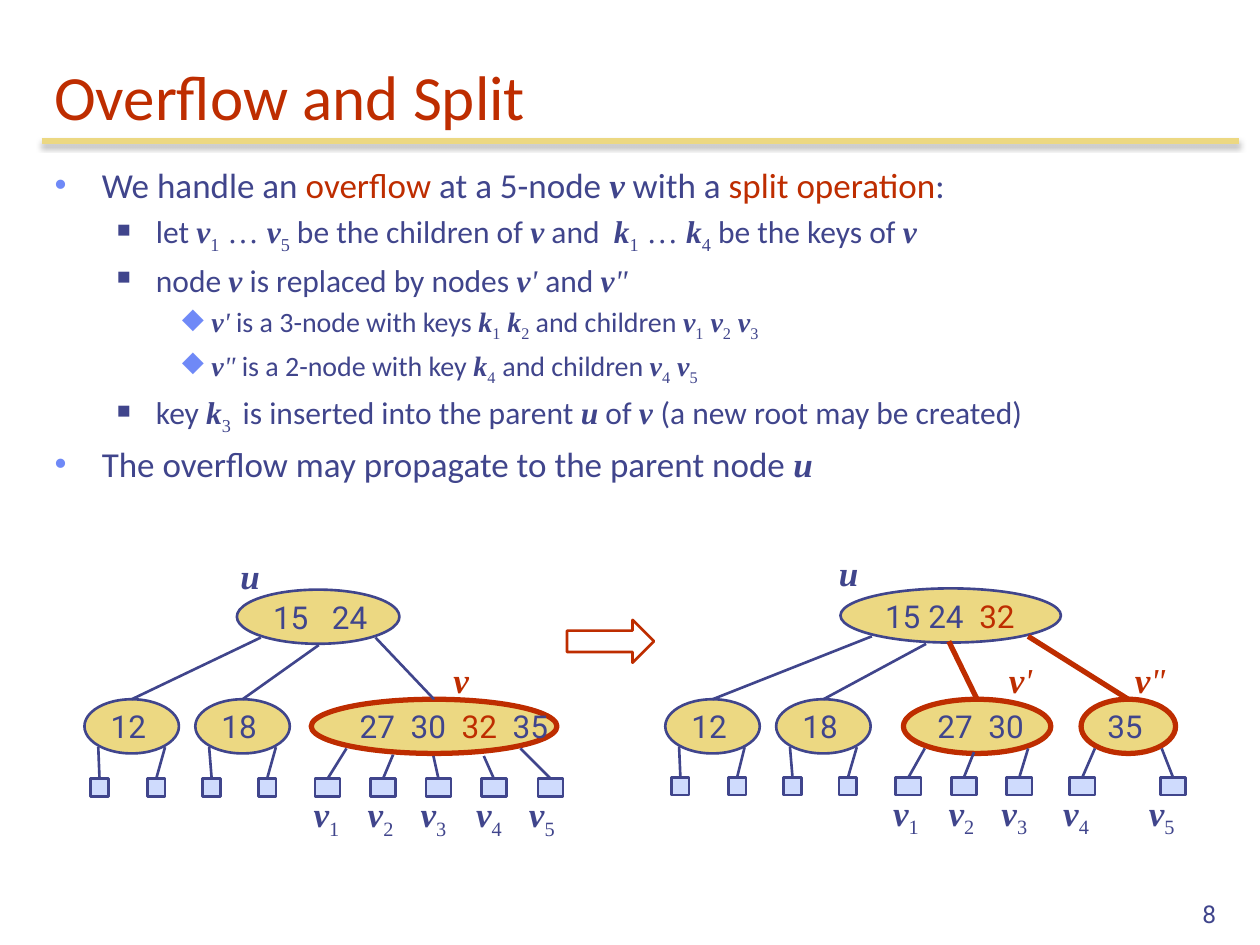
"""Build the slide on overflow and split in a multi-way search tree."""
import lxml.etree
import pptx
import pptx.dml.color
import pptx.enum.shapes
import pptx.enum.text
import pptx.oxml.ns
import pptx.util

SCALE = 9144
THEME = {
    "ink": "40458C", "accent": "BE2D00", "node": "ECD882", "leaf": "CFDBFD", "bullet": "6F89F7",
    "text": "Calibri", "number": "Roboto", "math": "Times New Roman", "symbol": "Wingdings",
    "title_size": 36, "label_size": 20, "node_size": 18, "page_size": 14,
    "level_sizes": (20, 18, 16), "ink_width": 1.5, "accent_width": 3,
}
MATH = THEME["math"]
STYLES = {
    "*": {"name": MATH, "bold": True, "italic": True},
    "^": {"name": MATH, "italic": True},
    "_": {"name": MATH},
    "~": {"name": MATH},
    "!": {},
}
SHAPES = pptx.enum.shapes.MSO_SHAPE
ANCHOR = pptx.enum.text.MSO_ANCHOR
ALIGN = pptx.enum.text.PP_ALIGN
RGB = pptx.dml.color.RGBColor.from_string
qn = pptx.oxml.ns.qn


def write(para, markup, size, font, color="ink"):
    for piece in markup.split("|"):
        mark = piece[0] if piece[0] in STYLES else ""
        span = para.add_run()
        span.text = piece[len(mark):]
        values = {"name": font, "size": pptx.util.Pt(size), "bold": False, "italic": False}
        for name, value in (values | STYLES.get(mark, {})).items():
            setattr(span.font, name, value)
        span.font.color.rgb = RGB(THEME["accent" if mark == "!" else color])
        if mark == "_":
            span._r.get_or_add_rPr().set("baseline", "-25000")


def draw_line(start, end, color, width):
    line = page.shapes.add_connector(
        pptx.enum.shapes.MSO_CONNECTOR.STRAIGHT, *(v * SCALE for v in start + end))
    line.line.color.rgb = RGB(THEME[color])
    line.line.width = pptx.util.Pt(THEME[width])
    lxml.etree.SubElement(line._element.spPr, qn("a:effectLst"))
    return line


deck = pptx.Presentation()
deck.slide_width, deck.slide_height = 1000 * SCALE, 750 * SCALE
page = deck.slides.add_slide(deck.slide_layouts[5])

rule = draw_line((33, 112), (983, 112), "node", "accent_width")
shadow = lxml.etree.SubElement(
    rule._element.spPr.find(qn("a:effectLst")), qn("a:outerShdw"),
    blurRad="39370", dist="22860", dir="5400000", rotWithShape="0")
shade = lxml.etree.SubElement(shadow, qn("a:srgbClr"), val="000000")
lxml.etree.SubElement(shade, qn("a:alpha"), val="35000")

title = page.shapes.title
for name, value in {"left": 33, "top": 33, "width": 950, "height": 78}.items():
    setattr(title, name, value * SCALE)
title.text_frame.vertical_anchor = ANCHOR.BOTTOM
title.text_frame.paragraphs[0].alignment = ALIGN.LEFT
write(title.text_frame.paragraphs[0], "Overflow and Split", THEME["title_size"], THEME["text"], "accent")

LEVELS = (
    {"margin": 38, "indent": -38, "font": "math", "char": "•", "color": "bullet", "percent": 110},
    {"margin": 81, "indent": -31, "font": "symbol", "char": "n", "color": "ink", "percent": 60},
    {"margin": 125, "indent": -25, "font": "symbol", "char": "u", "color": "bullet", "percent": 95},
)
POINTS = (
    (0, "We handle an |!overflow| at a 5-node |*v| with a |!split operation|:"),
    (1, "let |*v|_1|~ … |*v|_5| be the children of |*v| and  |*k|_1|~ … |*k|_4| be the keys of |*v"),
    (1, "node |*v| is replaced by nodes |*v|^' |and |*v|^\""),
    (2, "*v|^'| is a 3-node with keys |*k|_1|~ |*k|_2| and children |*v|_1|~ |*v|_2|~ |*v|_3"),
    (2, "*v|^\"| is a 2-node with key |*k|_4|~ |and children |*v|_4|~ |*v|_5"),
    (1, "key |*k|_3 | is inserted into the parent |*u| of |*v |(a new root may be created)"),
    (0, "The overflow may propagate to the parent node |*u"),
)
body = page.shapes.add_textbox(*(v * SCALE for v in (33, 125, 950, 300))).text_frame
body.word_wrap = True
for order, (level, markup) in enumerate(POINTS):
    para = body.add_paragraph() if order else body.paragraphs[0]
    look, size = LEVELS[level], THEME["level_sizes"][level]
    para.level = level
    props = para._p.get_or_add_pPr()
    props.set("marL", str(look["margin"] * SCALE))
    props.set("indent", str(look["indent"] * SCALE))
    tint = lxml.etree.SubElement(props, qn("a:buClr"))
    lxml.etree.SubElement(tint, qn("a:srgbClr"), val=THEME[look["color"]])
    lxml.etree.SubElement(props, qn("a:buSzPct"), val=str(look["percent"] * 1000))
    face = lxml.etree.SubElement(props, qn("a:buFont"), typeface=THEME[look["font"]])
    if look["font"] == "symbol":
        face.set("charset", "2")
    lxml.etree.SubElement(props, qn("a:buChar"), char=look["char"])
    if order:
        para.space_before = pptx.util.Pt(size * 0.2)
    write(para, markup, size, THEME["text"])

TREES = (
    {"root": ("15   24", 188, 468, 129), "leaf_top": 618,
     "nodes": (("12", 67, 75, "ink", "ink", (207, 506)), ("18", 155, 75, "ink", "ink", (253, 512)),
               ("27  30  |!32|  35", 247, 195, "accent", "ink", (298, 506))),
     "leaves": ((72, 14, (78, 593)), (117, 14, (131, 593)), (161, 14, (166, 593)),
                (205, 14, (219, 593)), (250, 20, (275, 594)), (294, 20, (312, 599)),
                (338, 20, (344, 600)), (382, 20, (384, 600)), (427, 20, (413, 594))),
     "names": (239, 282, 324, 368, 410),
     "labels": (("*v", 350, 518, "accent"), ("*u", 181, 435, "ink"))},
    {"root": ("15 24  |!32", 667, 467, 175), "leaf_top": 617,
     "nodes": (("12", 528, 75, "ink", "ink", (692, 505)), ("18", 616, 75, "ink", "ink", (735, 511)),
               ("27  30", 717, 117, "accent", "accent", (753, 509)),
               ("35", 858, 75, "accent", "accent", (816, 505))),
     "leaves": ((533, 14, (539, 593)), (578, 14, (591, 593)), (622, 14, (627, 593)),
                (666, 14, (680, 593)), (711, 20, (734, 594)), (755, 20, (773, 597)),
                (799, 20, (816, 594)), (849, 20, (869, 594)), (921, 20, (922, 594))),
     "names": (699, 743, 785, 834, 902),
     "labels": (("*v|^'", 791, 518, "accent"), ("*v|^\"", 891, 518, "accent"),
                ("*u", 656, 433, "ink"))},
)
for tree in TREES:
    markup, left, top, width = tree["root"]
    items = [(SHAPES.OVAL, markup, left, top, width, 43, "ink", "ink", None)]
    items += [(SHAPES.OVAL, markup, left, 555, width, 43, color, edge_color, point)
              for markup, left, width, color, edge_color, point in tree["nodes"]]
    items += [(SHAPES.RECTANGLE, "", left, tree["leaf_top"], width, 14, "ink", "ink", point)
              for left, width, point in tree["leaves"]]
    for kind, markup, left, top, width, height, color, edge_color, point in items:
        shape = page.shapes.add_shape(kind, *(v * SCALE for v in (left, top, width, height)))
        shape.shadow.inherit = False
        shape.fill.solid()
        shape.fill.fore_color.rgb = RGB(THEME["node" if markup else "leaf"])
        shape.line.color.rgb = RGB(THEME[color])
        shape.line.width = pptx.util.Pt(THEME[f"{color}_width"])
        if markup:
            shape.text_frame.word_wrap = False
            shape.text_frame.vertical_anchor = ANCHOR.MIDDLE
            shape.text_frame.paragraphs[0].alignment = ALIGN.LEFT
            write(shape.text_frame.paragraphs[0], markup, THEME["node_size"], THEME["number"])
        if point:
            edge = draw_line(point, (left + width // 2, top), edge_color, f"{edge_color}_width")
            edge.end_connect(shape, 0)
    names = [(f"*v|_{number}", left, tree["leaf_top"] + 6, "ink")
             for number, left in enumerate(tree["names"], 1)]
    for markup, left, top, color in names + list(tree["labels"]):
        box = page.shapes.add_textbox(*(v * SCALE for v in (left, top, 56, 43)))
        box.text_frame.word_wrap = False
        write(box.text_frame.paragraphs[0], markup, THEME["label_size"], MATH, color)

arrow = page.shapes.add_shape(SHAPES.RIGHT_ARROW, *(v * SCALE for v in (450, 492, 69, 34)))
arrow.shadow.inherit = False
arrow.fill.background()
arrow.line.color.rgb = RGB(THEME["accent"])
arrow.line.width = pptx.util.Pt(THEME["ink_width"])

number = page.shapes.add_textbox(*(v * SCALE for v in (767, 692, 208, 50))).text_frame
number.word_wrap = True
number.vertical_anchor = ANCHOR.BOTTOM
number.paragraphs[0].alignment = ALIGN.RIGHT
write(number.paragraphs[0], "8", THEME["page_size"], THEME["number"])

deck.save("out.pptx")
